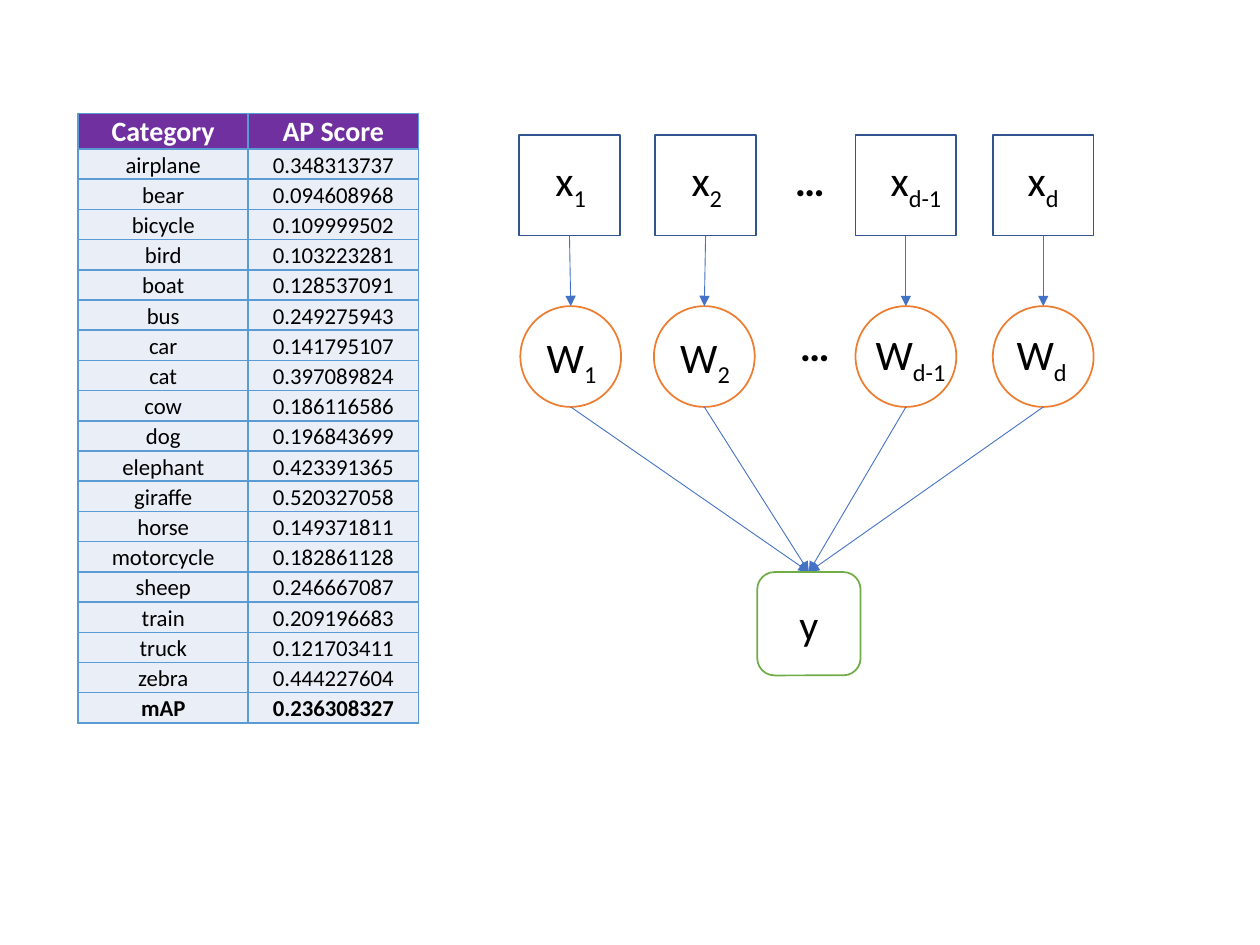
from dataclasses import dataclass

from lxml.etree import SubElement
from pptx import Presentation
from pptx.dml.color import RGBColor as RGB
from pptx.enum.shapes import MSO_CONNECTOR as CONN, MSO_SHAPE as SHAPE
from pptx.enum.text import MSO_ANCHOR as ANCHOR, MSO_AUTO_SIZE as AUTO, PP_ALIGN as ALIGN
from pptx.oxml import parse_xml
from pptx.oxml.ns import nsdecls, qn
from pptx.util import Inches, Pt


@dataclass(frozen=True)
class Theme:
    """Colours, font and type sizes of the slide."""
    font: str = "Calibri"
    text: str = "000000"
    white: str = "FFFFFF"
    header: str = "7030A0"
    row: str = "EAEFF7"
    border: str = "5B9BD5"
    input: str = "325491"
    weight: str = "ED7D31"
    output: str = "70AD47"
    arrow: str = "4472C4"
    node_pt: int = 24
    head_pt: int = 16
    row_pt: int = 13


T = Theme()

SCORES = [
    ("airplane", "0.348313737"), ("bear", "0.094608968"),
    ("bicycle", "0.109999502"), ("bird", "0.103223281"),
    ("boat", "0.128537091"), ("bus", "0.249275943"),
    ("car", "0.141795107"), ("cat", "0.397089824"),
    ("cow", "0.186116586"), ("dog", "0.196843699"),
    ("elephant", "0.423391365"), ("giraffe", "0.520327058"),
    ("horse", "0.149371811"), ("motorcycle", "0.182861128"),
    ("sheep", "0.246667087"), ("train", "0.209196683"),
    ("truck", "0.121703411"), ("zebra", "0.444227604"),
    ("mAP", "0.236308327"),
]

NODE = 0.8
INPUT_TOP, WEIGHT_TOP = 1.07, 2.43
OUTPUT_LEFT, OUTPUT_TOP, OUTPUT_SIZE = 6.01, 4.54, 0.82

# subscript, square left, circle left, x label (left, width), W label (left, top, width)
UNITS = [
    ("1", 4.12, 4.13, (4.31, 0.46), (4.24, 2.58, 0.62)),
    ("2", 5.2, 5.19, (5.39, 0.46), (5.3, 2.58, 0.62)),
    ("d-1", 6.79, 6.79, (6.95, 0.64), (6.85, 2.56, 0.79)),
    ("d", 7.88, 7.88, (8.05, 0.46), (7.97, 2.56, 0.61)),
]


def style_run(r, size, color=T.text, bold=False):
    """Apply font, size, colour and weight to a run."""
    r.font.name = T.font
    r.font.size = Pt(size)
    r.font.bold = bold
    r.font.color.rgb = RGB.from_string(color)


def style_cell(cell, text, fill, size, color, bold):
    """Fill a table cell with centred text and draw its borders."""
    cell.text = text
    cell.vertical_anchor = ANCHOR.BOTTOM
    cell.margin_left = cell.margin_right = cell.margin_top = Inches(0.01)
    cell.margin_bottom = 0
    p = cell.text_frame.paragraphs[0]
    p.alignment = ALIGN.CENTER
    style_run(p.runs[0], size, color, bold)
    cell.fill.solid()
    cell.fill.fore_color.rgb = RGB.from_string(fill)
    tc_pr = cell._tc.get_or_add_tcPr()
    for i, side in enumerate(("lnL", "lnR", "lnT", "lnB")):
        tc_pr.insert(i, parse_xml(
            f'<a:{side} {nsdecls("a")} w="{Pt(1)}"><a:solidFill>'
            f'<a:srgbClr val="{T.border}"/></a:solidFill></a:{side}>'))


def add_score_table(s):
    """Add the table of AP scores by category."""
    rows = [("Category", "AP Score"), *SCORES]
    table = s.shapes.add_table(len(rows), 2, Inches(0.62), Inches(0.9),
                               Inches(2.7), Inches(4.76)).table
    table.horz_banding = False
    last = len(rows) - 1
    for i, values in enumerate(rows):
        table.rows[i].height = Inches(0.24 if i else 0.28)
        look = ((T.row, T.row_pt, T.text, i == last) if i
                else (T.header, T.head_pt, T.white, True))
        for j, value in enumerate(values):
            style_cell(table.cell(i, j), value, *look)


def add_node(s, kind, left, top, size, line, fill=T.white):
    """Add an outlined shape of equal width and height."""
    sp = s.shapes.add_shape(kind, Inches(left), Inches(top), Inches(size), Inches(size))
    sp.shadow.inherit = False
    if fill:
        sp.fill.solid()
        sp.fill.fore_color.rgb = RGB.from_string(fill)
    else:
        sp.fill.background()
    sp.line.color.rgb = RGB.from_string(line)
    sp.line.width = Pt(1)
    return sp


def add_label(s, left, top, width, text, sub="", bold=False, wrap=False, align=ALIGN.LEFT):
    """Add a text box with an optional subscript."""
    tf = s.shapes.add_textbox(Inches(left), Inches(top), Inches(width), Inches(0.5)).text_frame
    tf.word_wrap = wrap
    tf.auto_size = AUTO.SHAPE_TO_FIT_TEXT
    p = tf.paragraphs[0]
    p.alignment = align
    for part in filter(None, (text, sub)):
        r = p.add_run()
        r.text = part
        style_run(r, T.node_pt, bold=bold)
    if sub:
        r.font._element.set("baseline", "-25000")


def add_arrow(s, x1, y1, x2, y2):
    """Add a thin straight arrow."""
    line = s.shapes.add_connector(CONN.STRAIGHT, *map(Inches, (x1, y1, x2, y2)))
    line.line.color.rgb = RGB.from_string(T.arrow)
    line.line.width = Pt(0.5)
    SubElement(line.line._get_or_add_ln(), qn("a:tailEnd"), type="triangle")
    SubElement(line._element.spPr, qn("a:effectLst"))


def add_unit(s, sub, square, circle, x_label, w_label):
    """Add one input, its weight and the arrows that lead to the output."""
    half = NODE / 2
    add_node(s, SHAPE.RECTANGLE, square, INPUT_TOP, NODE, T.input, fill=None)
    add_node(s, SHAPE.OVAL, circle, WEIGHT_TOP, NODE, T.weight)
    add_arrow(s, square + half, INPUT_TOP + NODE, circle + half, WEIGHT_TOP)
    add_arrow(s, circle + half, WEIGHT_TOP + NODE, OUTPUT_LEFT + OUTPUT_SIZE / 2, OUTPUT_TOP)
    x_left, x_width = x_label
    add_label(s, x_left, 1.18, x_width, "x", sub,
              align=ALIGN.CENTER if "d" in sub else ALIGN.LEFT)
    add_label(s, *w_label, "W", sub)


def add_output(s):
    """Add the output node."""
    sp = add_node(s, SHAPE.ROUNDED_RECTANGLE, OUTPUT_LEFT, OUTPUT_TOP, OUTPUT_SIZE, T.output)
    tf = sp.text_frame
    tf.text = "y"
    tf.vertical_anchor = ANCHOR.MIDDLE
    p = tf.paragraphs[0]
    p.alignment = ALIGN.CENTER
    style_run(p.runs[0], T.node_pt)


def main():
    """Build the slide and save it."""
    prs = Presentation()
    prs.slide_width, prs.slide_height = Inches(10), Inches(7.5)
    s = prs.slides.add_slide(prs.slide_layouts[6])
    add_score_table(s)
    for unit in UNITS:
        add_unit(s, *unit)
    for left, top in ((6.21, 1.18), (6.25, 2.49)):
        add_label(s, left, top, 0.34, "…", bold=True, wrap=True)
    add_output(s)
    prs.save("out.pptx")


main()
